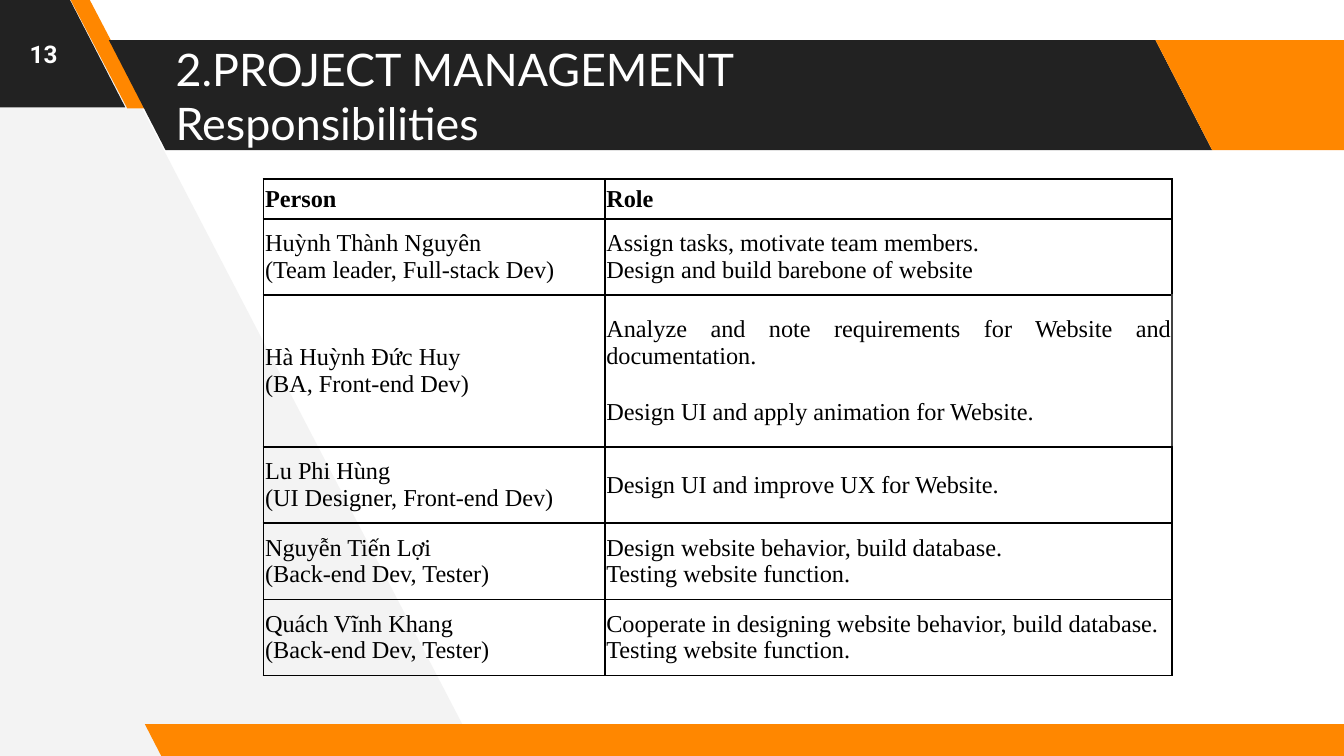
"""Build the project responsibilities slide."""
from lxml.etree import SubElement
from pptx import Presentation
from pptx.dml.color import RGBColor
from pptx.enum.shapes import MSO_SHAPE
from pptx.enum.text import MSO_ANCHOR, MSO_AUTO_SIZE, PP_ALIGN
from pptx.oxml.ns import qn
from pptx.util import Cm, Pt

TITLE = "2.PROJECT MANAGEMENT\nResponsibilities"
PAGE_NUMBER = "13"
ROWS = [
    (["Person"], ["Role"]),
    (["Huỳnh Thành Nguyên", "(Team leader, Full-stack Dev)"],
     ["Assign tasks, motivate team members.", "Design and build barebone of website"]),
    (["Hà Huỳnh Đức Huy", "(BA, Front-end Dev)"],
     ["Analyze and note requirements for Website and documentation.",
      "Design UI and apply animation for Website."]),
    (["Lu Phi Hùng", "(UI Designer, Front-end Dev)"],
     ["Design UI and improve UX for Website."]),
    (["Nguyễn Tiến Lợi", "(Back-end Dev, Tester)"],
     ["Design website behavior, build database.", "Testing website function."]),
    (["Quách Vĩnh Khang", "(Back-end Dev, Tester)"],
     ["Cooperate in designing website behavior, build database.",
      "Testing website function."]),
]
SPACED_CELL = (2, 1)

THEME = {
    "dark": "222222", "orange": "FF8700", "pale": "F3F3F3", "edge": "000000", "soft_edge": "434343",
    "title": {"name": "Lato", "size": Pt(24), "bold": False, "color": "FFFFFF"},
    "number": {"name": "Roboto", "size": Pt(13), "bold": True, "color": "FFFFFF"},
    "header": {"name": "Times New Roman", "size": Pt(13), "bold": True, "color": "000000"},
    "body": {"name": "Times New Roman", "size": Pt(13), "bold": False, "color": "000000"},
}
BACKDROP = [(9.04, 14.27), (1.57, -0.1), (-0.15, -0.1), (-0.05, 14.38)]
BANDS = [
    ((-2.51, -0.05, 4.88, 2.08), 0.515, "dark"),
    ((1.32, -0.03, 1.45, 2.08), 0.75, "orange"),
    ((2.06, 0.76, 20.85, 2.08), 0.515, "dark"),
    ((21.84, 0.76, 4.88, 2.08), 0.515, "orange"),
    ((2.74, 13.69, 23.24, 0.64), 0.515, "orange"),
]
TITLE_BOX = (3.07, 0.76, 18.67, 2.08)
NUMBER_BOX = (0, 0, 1.65, 2.03)
TABLE_ORIGIN = (4.98, 3.38)
COLUMN_WIDTHS = [6.45, 10.72]
ROW_HEIGHTS = [0.76, 1.44, 2.87, 1.44, 1.44, 1.44]


def assign(target, values):
    for name, value in values.items():
        setattr(target, name, value)


def margins(size):
    return {f"margin_{side}": Cm(size) for side in ("left", "right", "top", "bottom")}


def write(para, text, style, align):
    para.text = text
    para.alignment = align
    for span in para.runs:
        assign(span.font, {key: style[key] for key in ("name", "size", "bold")})
        span.font.color.rgb = RGBColor.from_string(style["color"])


def paint(shape, color):
    shape.shadow.inherit = False
    shape.fill.solid()
    shape.fill.fore_color.rgb = RGBColor.from_string(THEME[color])
    shape.line.fill.background()


def draw_background(page):
    points = [(Cm(x), Cm(y)) for x, y in BACKDROP]
    builder = page.shapes.build_freeform(*points[0])
    builder.add_line_segments(points[1:], close=True)
    paint(builder.convert_to_shape(), "pale")
    for bounds, slant, color in BANDS:
        band = page.shapes.add_shape(MSO_SHAPE.PARALLELOGRAM, *map(Cm, bounds))
        band.adjustments[0] = slant
        band.element.spPr.find(qn("a:xfrm")).set("flipH", "1")
        paint(band, color)


def fill_box(box, bounds, text, style, align):
    assign(box, dict(zip(("left", "top", "width", "height"), map(Cm, bounds))))
    assign(box.text_frame, {"word_wrap": True, "auto_size": MSO_AUTO_SIZE.NONE,
                            "vertical_anchor": MSO_ANCHOR.MIDDLE, **margins(0.25)})
    write(box.text_frame.paragraphs[0], text, style, align)


def draw_borders(cell, colors):
    properties = cell._tc.get_or_add_tcPr()
    for side in "LRTB":
        line = SubElement(properties, qn(f"a:ln{side}"), w=str(Pt(1)))
        solid = SubElement(line, qn("a:solidFill"))
        SubElement(solid, qn("a:srgbClr"), val=colors.get(side, THEME["edge"]))


def draw_table(page):
    frame = page.shapes.add_table(len(ROWS), len(COLUMN_WIDTHS), *map(Cm, TABLE_ORIGIN),
                                  Cm(sum(COLUMN_WIDTHS)), Cm(sum(ROW_HEIGHTS)))
    table = frame.table
    assign(table, {"first_row": False, "horz_banding": False})
    for column, width in zip(table.columns, COLUMN_WIDTHS):
        column.width = Cm(width)
    for row, height in zip(table.rows, ROW_HEIGHTS):
        row.height = Cm(height)
    for row_index, row in enumerate(ROWS):
        style = THEME["body" if row_index else "header"]
        for column_index, lines in enumerate(row):
            cell = table.cell(row_index, column_index)
            spaced = (row_index, column_index) == SPACED_CELL
            assign(cell, {"vertical_anchor": MSO_ANCHOR.MIDDLE, **margins(0.03)})
            draw_borders(cell, {"R": THEME["soft_edge"]} if spaced else {})
            cell.fill.background()
            for index, line in enumerate(lines):
                body = cell.text_frame
                para = body.add_paragraph() if index else body.paragraphs[0]
                write(para, line, style, PP_ALIGN.JUSTIFY)
                if spaced and index:
                    para.space_before = Pt(16)


def main():
    deck = Presentation()
    assign(deck, {"slide_width": Cm(25.4), "slide_height": Cm(14.29)})
    page = deck.slides.add_slide(deck.slide_layouts[5])
    draw_background(page)
    title = page.shapes.title
    title.element.getparent().append(title.element)
    fill_box(title, TITLE_BOX, TITLE, THEME["title"], PP_ALIGN.LEFT)
    number = page.shapes.add_textbox(*map(Cm, NUMBER_BOX))
    fill_box(number, NUMBER_BOX, PAGE_NUMBER, THEME["number"], PP_ALIGN.CENTER)
    draw_table(page)
    deck.save("out.pptx")


if __name__ == "__main__":
    main()
